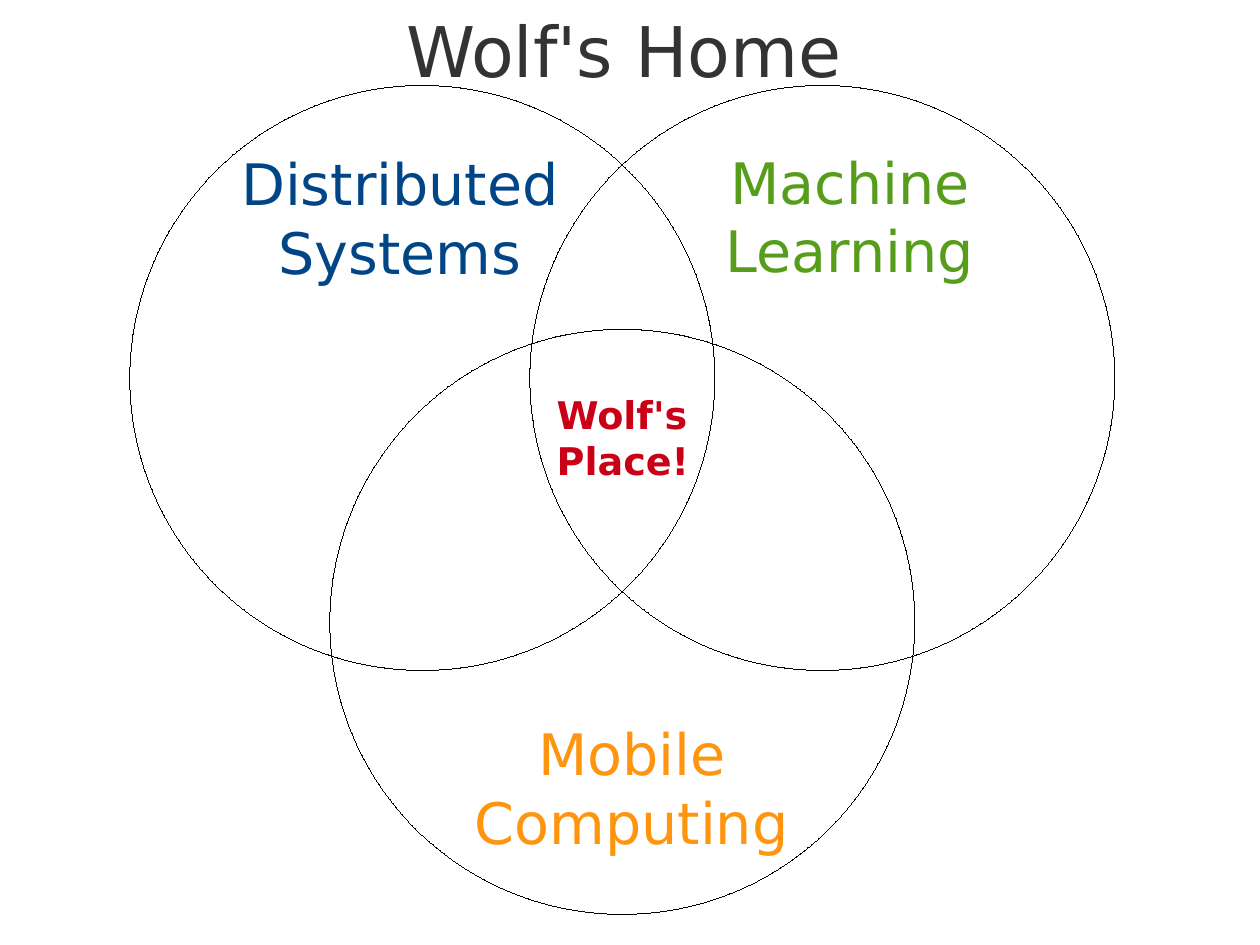
from pptx import Presentation
from pptx.dml.color import RGBColor
from pptx.enum.shapes import MSO_SHAPE
from pptx.enum.text import MSO_ANCHOR, PP_ALIGN
from pptx.util import Cm, Pt

OVAL = MSO_SHAPE.OVAL
TOP, MIDDLE = MSO_ANCHOR.TOP, MSO_ANCHOR.MIDDLE
LEFT, CENTER = PP_ALIGN.LEFT, PP_ALIGN.CENTER

COLORS = {
    "title": "333333",
    "outline": "000000",
    "systems": "004586",
    "learning": "579D1C",
    "mobile": "FF950E",
    "place": "C90016",
}
FONT = "DejaVu Sans"
HAIRLINE = Pt(0.01)
DIAMETER = 13
MIDDLE_X = 13.83
SIDE_OFFSET = 8.89 / 2
UPPER_Y, LOWER_Y = 8.4, 13.82


class VennSlide:
    def __init__(self, slide):
        self.shapes = slide.shapes

    def color(self, name):
        return RGBColor.from_string(COLORS[name])

    def circle(self, center_x, center_y):
        radius = DIAMETER / 2
        circle = self.shapes.add_shape(
            OVAL, Cm(center_x - radius), Cm(center_y - radius), Cm(DIAMETER), Cm(DIAMETER))
        circle.shadow.inherit = False
        circle.fill.background()
        circle.line.color.rgb = self.color("outline")
        circle.line.width = HAIRLINE

    def label(self, lines, box, color, size=36, bold=False, align=CENTER, **frame_format):
        frame = self.shapes.add_textbox(*map(Cm, box)).text_frame
        frame_format = {"word_wrap": False, "vertical_anchor": TOP} | frame_format
        for attribute, value in frame_format.items():
            setattr(frame, attribute, value)
        font_format = {"name": FONT, "size": Pt(size), "bold": bold}
        frame.text = "\n".join(lines)
        for paragraph in frame.paragraphs:
            paragraph.alignment = align
            font = paragraph.runs[0].font
            for attribute, value in font_format.items():
                setattr(font, attribute, value)
            font.color.rgb = self.color(color)

    def title(self, text, box):
        margins = dict.fromkeys(
            ("margin_left", "margin_top", "margin_right", "margin_bottom"), 0)
        self.label([text], box, "title", size=44,
                   word_wrap=True, vertical_anchor=MIDDLE, **margins)


def main():
    presentation = Presentation()
    presentation.slide_width, presentation.slide_height = Cm(28), Cm(21)
    venn = VennSlide(presentation.slides.add_slide(presentation.slide_layouts[6]))

    venn.title("Wolf's Home", (1.27, -0.64, 25.2, 3.5))
    for center in ((MIDDLE_X - SIDE_OFFSET, UPPER_Y),
                   (MIDDLE_X + SIDE_OFFSET, UPPER_Y),
                   (MIDDLE_X, LOWER_Y)):
        venn.circle(*center)

    venn.label(["Machine", "Learning"], (15.74, 3.14, 6.3, 3.2), "learning")
    venn.label(["Mobile", "Computing"], (10.14, 15.85, 7.8, 3.2), "mobile")
    venn.label(["Distributed", "Systems"], (5.08, 3.18, 7.62, 3.2), "systems")
    venn.label(["Wolf's", "Place!"], (12.12, 8.57, 3.6, 2.24), "place",
               size=24, bold=True, align=LEFT)

    presentation.save("out.pptx")


if __name__ == "__main__":
    main()
